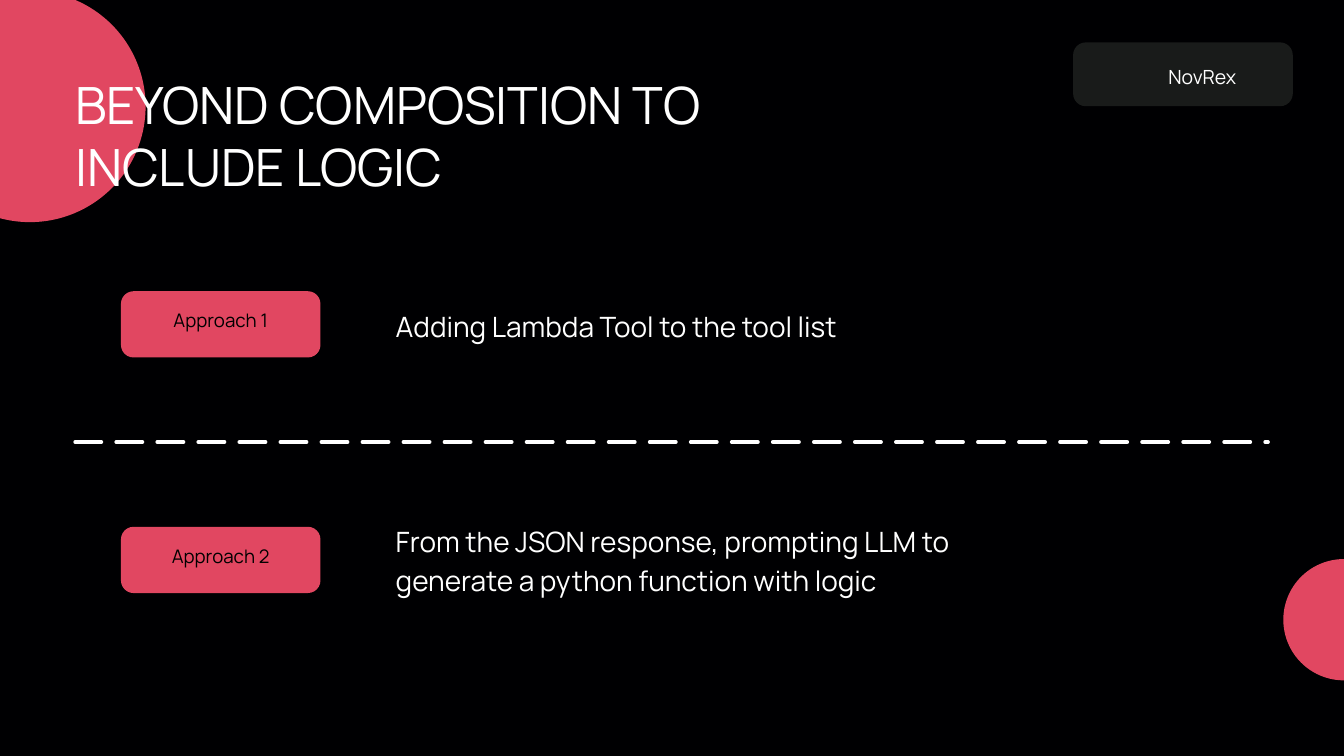
from pptx import Presentation
from pptx.dml.color import RGBColor
from pptx.enum.dml import MSO_LINE
from pptx.enum.shapes import MSO_CONNECTOR, MSO_SHAPE
from pptx.enum.text import MSO_ANCHOR, MSO_AUTO_SIZE, PP_ALIGN
from pptx.oxml.ns import qn
from pptx.util import Pt

BLACK = RGBColor(0x00, 0x00, 0x00)
BACKGROUND = RGBColor(0x00, 0x00, 0x02)
WHITE = RGBColor(0xFF, 0xFF, 0xFF)
PINK = RGBColor(0xE1, 0x47, 0x61)
CHARCOAL = RGBColor(0x19, 0x1B, 0x1A)
FONT = "Manrope"

LEFT, CENTER = PP_ALIGN.LEFT, PP_ALIGN.CENTER
TOP, MIDDLE = MSO_ANCHOR.TOP, MSO_ANCHOR.MIDDLE
OVAL, ROUNDED = MSO_SHAPE.OVAL, MSO_SHAPE.ROUNDED_RECTANGLE

TITLE_ONLY = 5
CORNER_RADIUS = 13.5
LABEL_W, LABEL_H = 213.8, 71
LABEL_X, DETAIL_X, DETAIL_W = 129.6, 424, 674


def set_text(sp, text, size, leading, color, align=LEFT, anchor=TOP,
             insets=(0, 0, 0, 0)):
    """Fill a shape with one paragraph; insets run left, top, right, bottom."""
    tf = sp.text_frame
    tf.word_wrap = True
    tf.auto_size = MSO_AUTO_SIZE.NONE
    tf.vertical_anchor = anchor
    (tf.margin_left, tf.margin_top,
     tf.margin_right, tf.margin_bottom) = map(Pt, insets)
    p = tf.paragraphs[0]
    p.text = text
    p.alignment = align
    p.line_spacing = Pt(leading)
    p.space_before = Pt(0)
    p.font.name = FONT
    p.font.size = Pt(size)
    p.font.color.rgb = color


def add_filled(slide, kind, x, y, w, h, color):
    sp = slide.shapes.add_shape(kind, Pt(x), Pt(y), Pt(w), Pt(h))
    sp.shadow.inherit = False
    sp.fill.solid()
    sp.fill.fore_color.rgb = color
    sp.line.fill.background()
    if kind == ROUNDED:
        sp.adjustments[0] = CORNER_RADIUS / min(w, h)
    return sp


def add_circle(slide, center_x, center_y, radius):
    add_filled(slide, OVAL, center_x - radius, center_y - radius,
               2 * radius, 2 * radius, PINK)


def add_badge(slide, x, y, w, h):
    # The name sits right of centre in the badge
    sp = add_filled(slide, ROUNDED, x, y, w, h, CHARCOAL)
    set_text(sp, "NovRex", 20.9, 29.2, WHITE, CENTER,
             insets=(64, 16.6, 22.5, 0))


def add_title(slide, x, y, w, h):
    sp = slide.shapes.title
    sp.left, sp.top, sp.width, sp.height = Pt(x), Pt(y), Pt(w), Pt(h)
    set_text(sp, "BEYOND COMPOSITION TO INCLUDE LOGIC", 55, 67.1, WHITE)
    # Bring the title in front of the circle
    slide.shapes._spTree.append(sp._element)


def add_divider(slide, x, y, w):
    line = slide.shapes.add_connector(MSO_CONNECTOR.STRAIGHT,
                                      Pt(x), Pt(y), Pt(x + w), Pt(y))
    line.line.color.rgb = WHITE
    line.line.width = Pt(4)
    line.line.dash_style = MSO_LINE.LONG_DASH
    sp_pr = line._element.spPr
    sp_pr.find(qn("a:ln")).set("cap", "rnd")
    sp_pr.append(sp_pr.makeelement(qn("a:effectLst"), {}))


def add_approach(slide, y, label, detail, detail_dy, detail_h):
    # Label, with its text slightly above the middle
    sp = add_filled(slide, ROUNDED, LABEL_X, y, LABEL_W, LABEL_H, PINK)
    set_text(sp, label, 20, 28, BLACK, CENTER, MIDDLE, (4, 4, 4, 17.3))
    # Description
    sp = slide.shapes.add_textbox(Pt(DETAIL_X), Pt(y + detail_dy),
                                  Pt(DETAIL_W), Pt(detail_h))
    set_text(sp, detail, 30, 42, WHITE)


def main():
    prs = Presentation()
    prs.slide_width, prs.slide_height = Pt(1440), Pt(810)
    slide = prs.slides.add_slide(prs.slide_layouts[TITLE_ONLY])
    slide.background.fill.solid()
    slide.background.fill.fore_color.rgb = BACKGROUND

    # Decoration and header
    add_circle(slide, 1440, 664, 65)
    add_circle(slide, 32, 114, 124)
    add_badge(slide, 1149.8, 45.4, 235.4, 68.4)
    add_title(slide, 80.6, 77, 731, 134)

    # Two approaches, parted by a dashed line
    add_approach(slide, 312, "Approach 1",
                 "Adding Lambda Tool to the tool list", 13.4, 42)
    add_divider(slide, 80.6, 473.6, 1278)
    add_approach(slide, 564.4, "Approach 2",
                 "From the JSON response, prompting LLM to "
                 "generate a python function with logic", -8.6, 126)

    prs.save("out.pptx")


if __name__ == "__main__":
    main()
